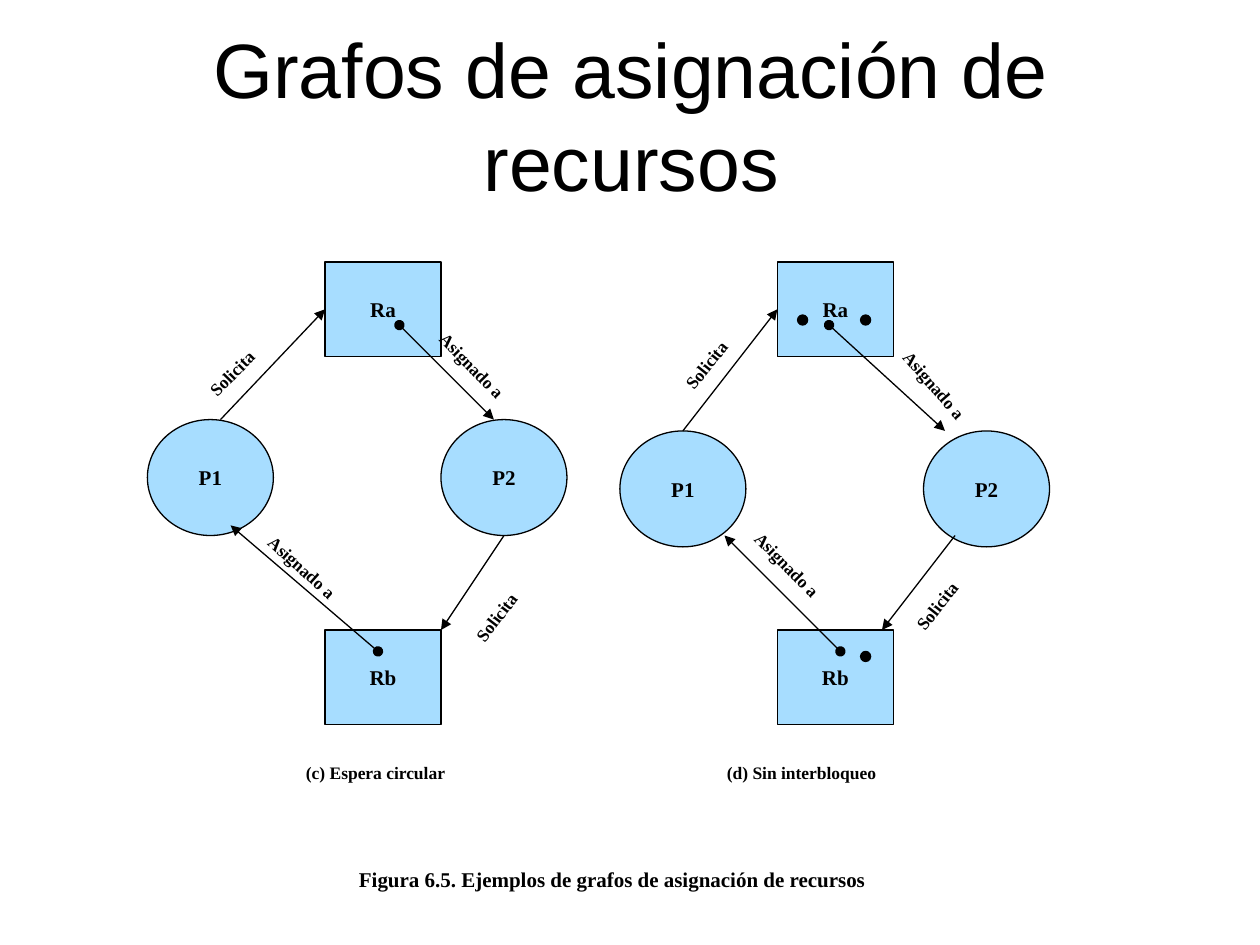
from dataclasses import dataclass
from lxml import etree
from pptx import Presentation
from pptx.dml.color import RGBColor
from pptx.enum.shapes import MSO_CONNECTOR as Connector, MSO_SHAPE as Shape
from pptx.enum.text import MSO_ANCHOR as Anchor, MSO_AUTO_SIZE as AutoSize, PP_ALIGN as Align
from pptx.oxml.ns import qn
from pptx.slide import Slide
from pptx.util import Inches, Pt

COLORS = {"ink": "000000", "node": "A7DDFF", "paper": "FFFFFF"}
NODE_SIZES = {Shape.RECTANGLE: (0.92, 0.75), Shape.OVAL: (1, 0.92)}
LABEL_WIDTHS = {"Solicita": 1, "Asignado a": 1.25}
LEFT_SIDE = 1


@dataclass
class GraphSlide:
    """Draws resource graph elements in one style on the current slide."""

    slide: Slide
    font: str = "Times New Roman"
    line_width: float = 0.75

    def color(self, name):
        return RGBColor.from_string(COLORS[name])

    def set_text(self, frame, text, size, font=None, bold=True, align=Align.LEFT):
        frame.text = text
        paragraph = frame.paragraphs[0]
        paragraph.alignment = align
        style = paragraph.runs[0].font
        style.name, style.size, style.bold = font or self.font, Pt(size), bold
        style.color.rgb = self.color("ink")

    def title(self, text, left, top, width, height):
        heading = self.slide.shapes.add_textbox(*map(Inches, (left, top, width, height)))
        frame = heading.text_frame
        frame.word_wrap = True
        frame.vertical_anchor = Anchor.MIDDLE
        self.set_text(frame, text, 44, "Arial", False, Align.CENTER)

    def caption(self, text, left, top, width, height=0.27, size=10, rotation=0):
        caption = self.slide.shapes.add_textbox(*map(Inches, (left, top, width, height)))
        caption.rotation = rotation
        frame = caption.text_frame
        frame.word_wrap = True
        frame.auto_size = AutoSize.SHAPE_TO_FIT_TEXT
        self.set_text(frame, text, size)
        return caption

    def outlined(self, kind, left, top, width, height, fill):
        shape = self.slide.shapes.add_shape(kind, *map(Inches, (left, top, width, height)))
        shape.shadow.inherit = False
        shape.fill.solid()
        shape.fill.fore_color.rgb = self.color(fill)
        shape.line.color.rgb = self.color("ink")
        shape.line.width = Pt(self.line_width)
        return shape

    def node(self, kind, text, left, top):
        node = self.outlined(kind, left, top, *NODE_SIZES[kind], "node")
        frame = node.text_frame
        frame.word_wrap = False
        frame.vertical_anchor = Anchor.MIDDLE
        self.set_text(frame, text, 12, align=Align.CENTER)
        return node

    def dot(self, left, top):
        self.outlined(Shape.OVAL, left, top, 0.08, 0.08, "ink")

    def arrow(self, start, end, from_unit=False, target=None):
        arrow = self.slide.shapes.add_connector(Connector.STRAIGHT, *map(Inches, start + end))
        arrow.line.color.rgb = self.color("ink")
        arrow.line.width = Pt(self.line_width)
        properties = arrow._element.spPr
        line = properties.find(qn("a:ln"))
        if from_unit:
            etree.SubElement(line, qn("a:headEnd"), type="oval")
        etree.SubElement(line, qn("a:tailEnd"), type="triangle")
        etree.SubElement(properties, qn("a:effectLst"))
        if target:
            arrow.end_connect(target, LEFT_SIDE)

    def graph(self, resource_left, process_top, process_lefts, requests, grants, labels, dots=()):
        resource_a = self.node(Shape.RECTANGLE, "Ra", resource_left, 2.08)
        self.node(Shape.RECTANGLE, "Rb", resource_left, 5)
        for name, left in zip(("P1", "P2"), process_lefts):
            self.node(Shape.OVAL, name, left, process_top)
        for request, target in zip(requests, (resource_a, None)):
            self.arrow(*request, target=target)
        for grant in grants:
            self.arrow(*grant, from_unit=True)
        for dot in dots:
            self.dot(*dot)
        for text, left, top, rotation in labels:
            self.caption(text, left, top, LABEL_WIDTHS[text], rotation=rotation)


def main():
    presentation = Presentation()
    presentation.slide_width, presentation.slide_height = Inches(10), Inches(7.5)
    page = GraphSlide(presentation.slides.add_slide(presentation.slide_layouts[6]))

    page.title("Grafos de asignación de recursos", 0.51, 0.28, 9, 1.25)
    figure = page.caption("Figura 6.5. Ejemplos de grafos de asignación de recursos",
                          2.75, 6.83, 4.75, 0.3, 12)
    figure.fill.solid()
    figure.fill.fore_color.rgb = page.color("paper")
    page.caption("(c) Espera circular", 2.33, 6, 1.5)
    page.caption("(d) Sin interbloqueo", 5.67, 6, 1.58)

    page.graph(
        resource_left=2.58, process_top=3.33, process_lefts=(1.17, 3.5),
        requests=[((1.75, 3.33), (2.58, 2.5)), ((4, 4.25), (3.5, 5))],
        grants=[((3.17, 2.58), (3.92, 3.33)), ((3, 5.17), (1.83, 4.17))],
        labels=[("Solicita", 1.47, 2.7, 314.7), ("Solicita", 3.55, 4.62, 307.5),
                ("Asignado a", 3.26, 2.91, 45.7), ("Asignado a", 1.92, 4.5, 41.8)],
    )
    page.graph(
        resource_left=6.17, process_top=3.42, process_lefts=(4.92, 7.33),
        requests=[((5.42, 3.42), (6.17, 2.5)), ((7.58, 4.25), (7, 5))],
        grants=[((6.58, 2.58), (7.5, 3.42)), ((6.67, 5.17), (5.75, 4.25))],
        labels=[("Solicita", 5.22, 2.62, 308.7), ("Solicita", 7.05, 4.53, 308.3),
                ("Asignado a", 6.92, 3.07, 48.9), ("Asignado a", 5.76, 4.49, 45.6)],
        dots=[(6.33, 2.5), (6.83, 2.5), (6.83, 5.17)],
    )
    presentation.save("out.pptx")


if __name__ == "__main__":
    main()
